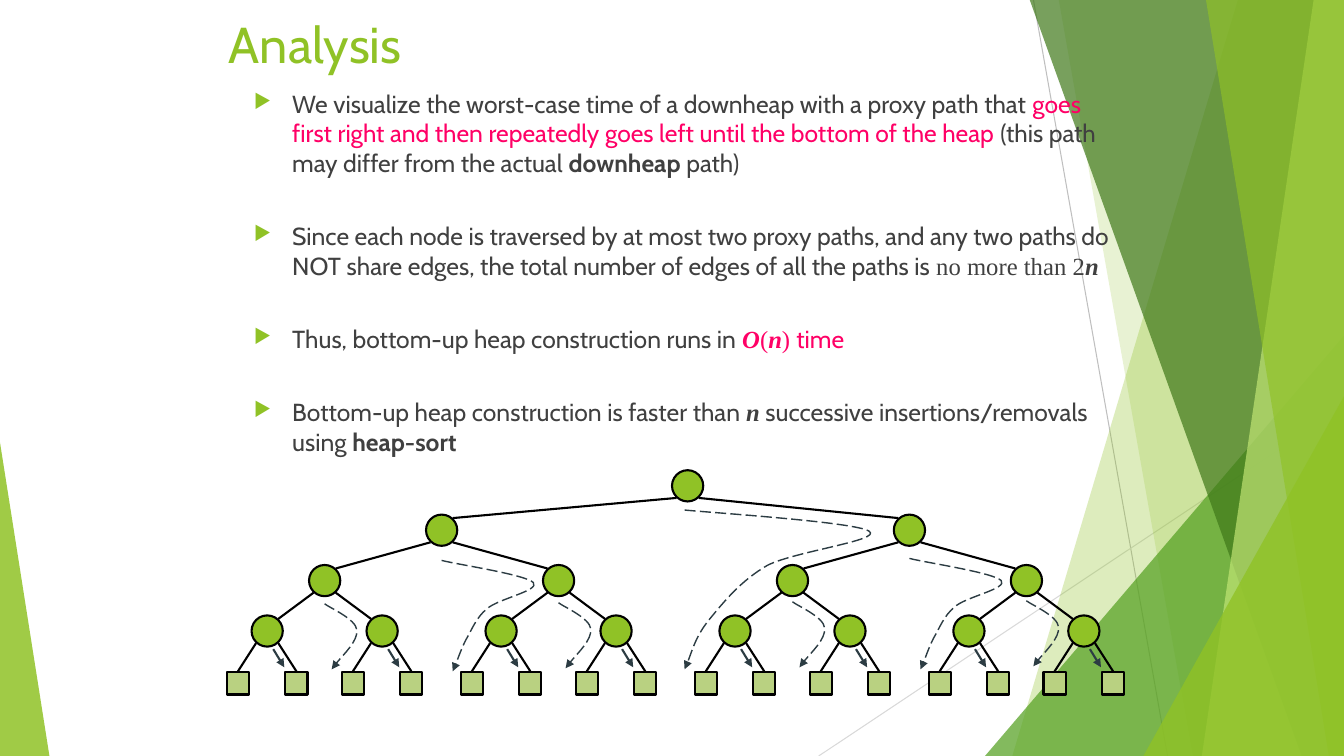
from lxml.etree import SubElement
from pptx import Presentation
from pptx.dml.color import RGBColor
from pptx.enum.dml import MSO_LINE
from pptx.enum.shapes import MSO_CONNECTOR, MSO_SHAPE
from pptx.enum.text import MSO_ANCHOR, PP_ALIGN
from pptx.oxml.ns import qn
from pptx.util import Pt

PX = 9144  # 100 px to the inch
WIDTH, HEIGHT = 1333, 750
COLORS = {
    "green": "90C226", "leaf": "B9D181", "black": "000000", "text": "404040",
    "pink": "FF0066", "route": "2C3C43", "forest": "54A021", "moss": "3F7819",
    "lime": "C0E474", "gray": "BFBFBF", "pale gray": "D9D9D9",
}
PLAIN = {"name": "Cabin", "bold": False, "italic": False}
BOLD = {**PLAIN, "bold": True}
SERIF = {**PLAIN, "name": "Times New Roman"}
MATH = {"name": "Times New Roman", "bold": True, "italic": True}

POINTS = [
    [("We visualize the worst-case time of a downheap with a proxy path that ", PLAIN, "text"),
     ("goes first right and then repeatedly goes left until the bottom of the heap", PLAIN, "pink"),
     (" (this path may differ from the actual ", PLAIN, "text"),
     ("downheap", BOLD, "text"), (" path)", PLAIN, "text")],
    [("Since each node is traversed by at most two proxy paths, and any two paths do "
      "NOT share edges, the total number of edges of all the paths is ", PLAIN, "text"),
     ("no more than 2", SERIF, "text"), ("n", MATH, "text")],
    [("Thus, bottom-up heap construction runs in ", PLAIN, "text"),
     ("O", MATH, "pink"), ("(", SERIF, "pink"), ("n", MATH, "pink"),
     (") ", SERIF, "pink"), ("time", PLAIN, "pink")],
    [("Bottom-up heap construction is faster than ", PLAIN, "text"), ("n", MATH, "text"),
     (" successive insertions/removals using ", PLAIN, "text"), ("heap-sort", BOLD, "text")],
]

# Proxy routes as Bezier points, relative to the node where they start
ROOT_ROUTE = [(-3, 24), (28, 27), (167, 36), (180, 45), (194, 54), (106, 65), (79, 79),
              (53, 94), (36, 115), (22, 132), (8, 149), (2, 172), (-3, 182)]
HALF_ROUTE = [(0, 30), (15, 34), (83, 44), (91, 52), (98, 60), (56, 68), (45, 78),
              (34, 87), (30, 99), (24, 109), (19, 119), (14, 134), (11, 140)]
QUARTER_ROUTE = [(0, 23), (5, 27), (31, 38), (32, 49), (33, 60), (12, 80), (7, 88)]


def emu(*lengths):
    return [round(length * PX) for length in lengths]


def rgb(color):
    return RGBColor.from_string(COLORS[color])


def set_format(font, color, values):
    for key, value in values.items():
        setattr(font, key, value)
    font.color.rgb = rgb(color)


def set_line(part, color, width, dashed=False, arrow=None):
    part.line.color.rgb = rgb(color)
    part.line.width = Pt(width)
    if dashed:
        part.line.dash_style = MSO_LINE.LONG_DASH
    if arrow:
        outline = part._element.spPr.find(qn("a:ln"))
        SubElement(outline, qn(f"a:{arrow}"), type="triangle")


def set_fill(shape, color, alpha=100):
    shape.shadow.inherit = False
    shape.fill.solid()
    shape.fill.fore_color.rgb = rgb(color)
    if alpha < 100:
        tint = shape._element.spPr.find(qn("a:solidFill"))[0]
        SubElement(tint, qn("a:alpha"), val=str(alpha * 1000))


def connect(slide, start, end, color="black", width=1.5, **ends):
    link = slide.shapes.add_connector(MSO_CONNECTOR.STRAIGHT, *emu(*start, *end))
    set_line(link, color, width, **ends)
    SubElement(link._element.spPr, qn("a:effectLst"))


def outline_shape(slide, points, close):
    start, *rest = [emu(*point) for point in points]
    builder = slide.shapes.build_freeform(*start)
    builder.add_line_segments(rest, close=close)
    shape = builder.convert_to_shape()
    shape.shadow.inherit = False
    return shape


def draw_backdrop(slide, right, bottom):
    def panel(top_x, bottom_x, color, alpha):
        corners = [(top_x, -1), (right, -1), (right, bottom), (bottom_x, bottom)]
        sheet = outline_shape(slide, corners, close=True)
        set_fill(sheet, color, alpha)
        sheet.line.fill.background()

    def wedge(left, width, height, tip, color, alpha):
        corner = slide.shapes.add_shape(MSO_SHAPE.ISOSCELES_TRIANGLE,
                                        *emu(left, bottom - height, width, height))
        corner.adjustments[0] = tip
        set_fill(corner, color, alpha)
        corner.line.fill.background()

    connect(slide, (1025, 0), (1158, bottom), "gray", 0.75)
    connect(slide, (right, 403), (812, bottom), "pale gray", 0.75)
    panel(1228, 1004, "green", 30)
    panel(1050, 1183, "green", 20)
    wedge(977, 356, 417, 1, "forest", 72)
    panel(1021, 1291, "moss", 70)
    panel(1303, 1192, "lime", 70)
    panel(1196, 1318, "green", 65)
    wedge(1134, 199, 357, 1, "green", 80)
    wedge(0, 49, 311, 0, "green", 85)


def write_title(slide, left, top, width, height):
    title = slide.shapes.title
    title.left, title.top, title.width, title.height = emu(left, top, width, height)
    title.text_frame.text = "Analysis"
    title.text_frame.vertical_anchor = MSO_ANCHOR.TOP
    heading = title.text_frame.paragraphs[0]
    heading.alignment = PP_ALIGN.LEFT
    set_format(heading.runs[0].font, "green", {**PLAIN, "size": Pt(36)})


def write_points(slide, left, top, width, height):
    frame = slide.shapes.add_textbox(*emu(left, top, width, height)).text_frame
    frame.word_wrap = True
    for index, point in enumerate(POINTS):
        paragraph = frame.add_paragraph() if index else frame.paragraphs[0]
        props = paragraph._p.get_or_add_pPr()
        indent = emu(38)[0]
        props.set("marL", str(indent))
        props.set("indent", str(-indent))
        bullet_color = SubElement(props, qn("a:buClr"))
        SubElement(bullet_color, qn("a:srgbClr"), val=COLORS["green"])
        SubElement(props, qn("a:buSzPct"), val="80000")
        SubElement(props, qn("a:buChar"), char="▶")
        paragraph.space_before = Pt(31.2 if index else 0)
        for words, values, color in point:
            run = paragraph.add_run()
            run.text = words
            set_format(run.font, color, {**values, "size": Pt(17.6)})


def draw_route(slide, node, offsets, lift=0):
    bends = [(node[0] + dx, node[1] + dy - lift) for dx, dy in offsets]
    route = outline_shape(slide, bends, close=False)
    # Every three straight segments become one Bezier curve
    segments = list(route._element.iter(qn("a:lnTo")))
    for first in range(0, len(segments), 3):
        curve = SubElement(segments[first].getparent(), qn("a:cubicBezTo"))
        for segment in segments[first:first + 3]:
            curve.append(segment[0])
            segment.getparent().remove(segment)
    route.fill.background()
    set_line(route, "route", 1, dashed=True, arrow="tailEnd")


def draw_heap(slide, left, top):
    # Node centres, level by level from the root to the leaves
    levels = [[(left + 457, top + 16)], [(left + x, top + 60) for x in (213, 677)]]
    for spread, drop in ((116, 50), (57, 50), (29, 52)):
        levels.append([(x + side * spread, y + drop)
                       for x, y in levels[-1] for side in (-1, 1)])

    # Edges
    for depth, children in enumerate(levels[1:], 1):
        for index, (x, y) in enumerate(children):
            parent_x, parent_y = levels[depth - 1][index // 2]
            side = 1 if index % 2 else -1
            end = (x, y - 12) if depth == 4 else (x - side * 11, y - 12)
            connect(slide, (parent_x + side * 11, parent_y + 12), end)

    # Nodes and leaves
    for depth, nodes in enumerate(levels):
        kind, size, color = ((MSO_SHAPE.RECTANGLE, 22, "leaf") if depth == 4
                             else (MSO_SHAPE.OVAL, 31, "green"))
        for x, y in nodes:
            node = slide.shapes.add_shape(kind, *emu(x - size / 2, y - size / 2, size, size))
            set_fill(node, color)
            set_line(node, "black", 1.5)

    # Proxy routes
    for depth, offsets, lift in ((0, ROOT_ROUTE, 0), (1, HALF_ROUTE, 2), (2, QUARTER_ROUTE, 1)):
        for index, node in enumerate(levels[depth]):
            draw_route(slide, node, offsets, index * lift)
    for x, y in levels[3]:
        connect(slide, (x + 17, y + 36), (x + 6, y + 18), "route",
                dashed=True, arrow="headEnd")


def main():
    deck = Presentation()
    deck.slide_width, deck.slide_height = emu(WIDTH, HEIGHT)
    slide = deck.slides.add_slide(deck.slide_layouts[5])
    draw_backdrop(slide, WIDTH, HEIGHT)
    write_title(slide, 217, 8, 900, 75)
    write_points(slide, 242, 83, 875, 375)
    draw_heap(slide, 225, 466)
    deck.save("out.pptx")


if __name__ == "__main__":
    main()
